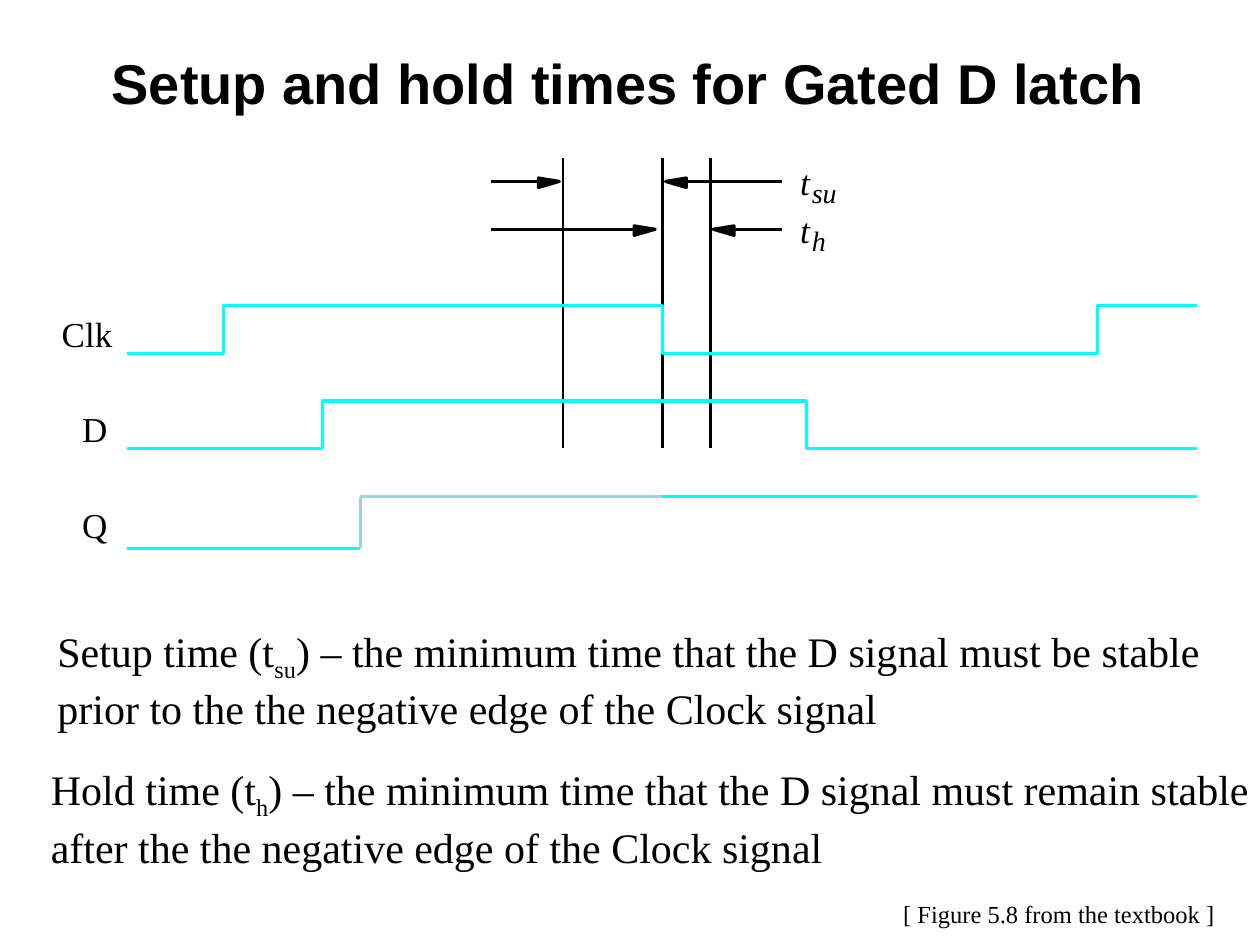
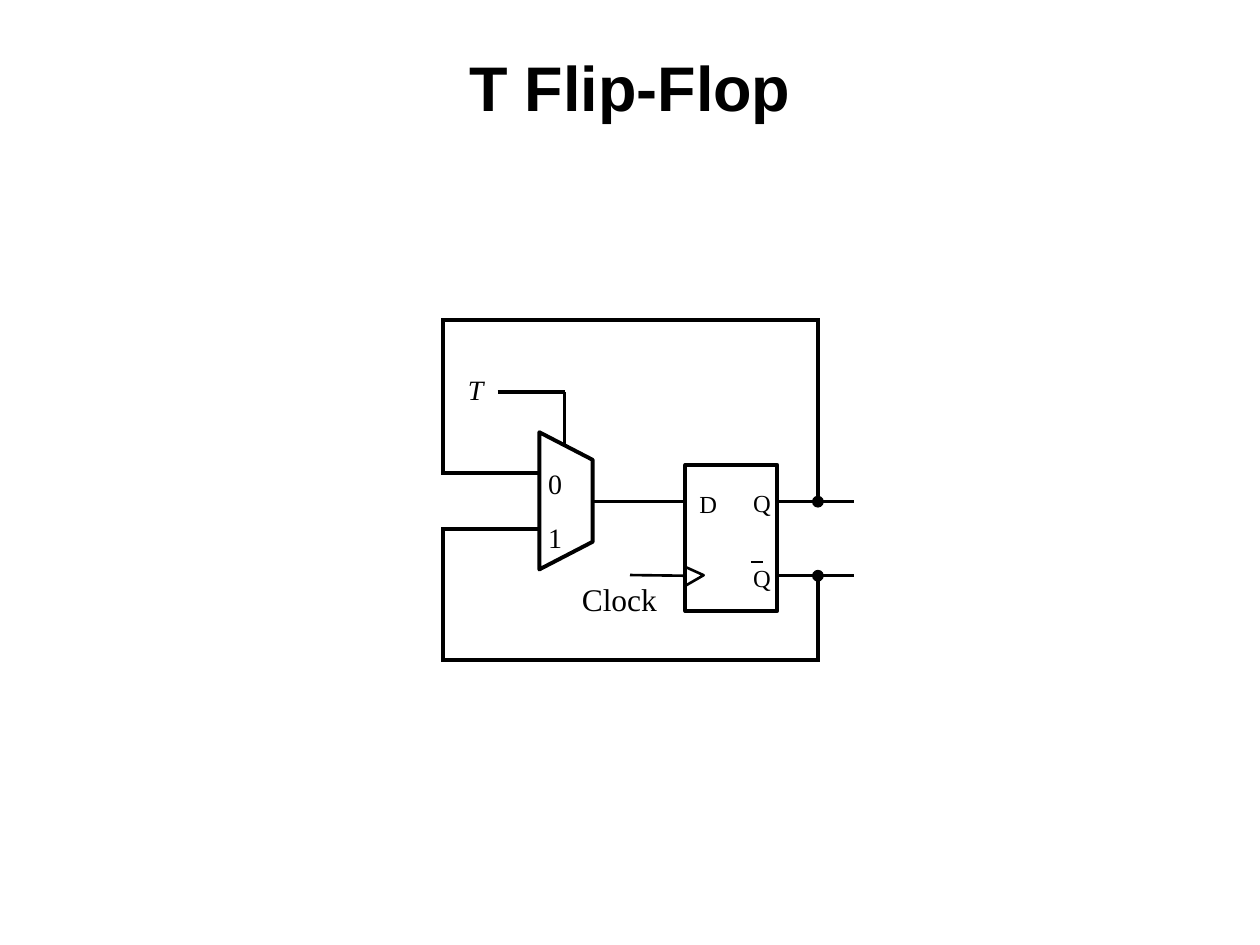
from itertools import pairwise

from lxml import etree
from pptx import Presentation
from pptx.dml.color import RGBColor
from pptx.enum import shapes, text
from pptx.oxml import ns
from pptx.util import Pt

BLACK, WHITE, CYAN, PALE = "000000", "FFFFFF", "00FFFF", "9ED3D7"
SERIF, SANS = "Times New Roman", "Arial"
WIRE, THIN = 2.25, 1.5


def color(value):
    return RGBColor.from_string(value)


def style(shape, line, width, fill=None):
    shape.shadow.inherit = False
    if fill:
        shape.fill.solid()
        shape.fill.fore_color.rgb = color(fill)
    else:
        shape.fill.background()
    shape.line.color.rgb = color(line)
    shape.line.width = Pt(width)


def draw_line(slide, box, start, end, width, line=BLACK):
    left, top = box
    connector = slide.shapes.add_connector(
        shapes.MSO_CONNECTOR.STRAIGHT,
        Pt(left + start[0]), Pt(top + start[1]), Pt(left + end[0]), Pt(top + end[1]))
    connector.line.color.rgb = color(line)
    connector.line.width = Pt(width)
    etree.SubElement(connector._element.spPr, ns.qn("a:effectLst"))


def draw_path(slide, box, points, width, line=BLACK, fill=None, close=False):
    left, top = box
    spots = [(Pt(left + x), Pt(top + y)) for x, y in points]
    builder = slide.shapes.build_freeform(*spots[0])
    builder.add_line_segments(spots[1:], close=close)
    style(builder.convert_to_shape(), line, width, fill)


def draw_preset(slide, box, kind, place, width, fill):
    left, top = box
    x, y, wide, high = place
    shape = slide.shapes.add_shape(kind, Pt(left + x), Pt(top + y), Pt(wide), Pt(high))
    style(shape, BLACK, width, fill)


def add_text(slide, box, place, paragraphs, size, inset=True,
             font=SERIF, bold=False, italic=False, align=text.PP_ALIGN.LEFT):
    left, top = box
    x, y, wide, high = place
    frame = slide.shapes.add_textbox(
        Pt(left + x), Pt(top + y), Pt(wide), Pt(high)).text_frame
    frame.word_wrap = True
    if not inset:
        frame.margin_left = frame.margin_right = frame.margin_top = frame.margin_bottom = 0
    for index, runs in enumerate(paragraphs):
        paragraph = frame.add_paragraph() if index else frame.paragraphs[0]
        paragraph.alignment = align
        for position, words in enumerate(runs):
            run = paragraph.add_run()
            run.text = words
            if position == 1:
                run._r.get_or_add_rPr().set("baseline", "-25000")
        paragraph.font.name = font
        paragraph.font.size = Pt(size)
        paragraph.font.bold = bold
        paragraph.font.italic = italic
        paragraph.font.color.rgb = color(BLACK)


def add_label(slide, box, x, y, wide, words, size, italic=False):
    add_text(slide, box, (x, y, wide, size * 1.17), [[words]], size,
             inset=False, italic=italic)


def add_title(slide, left, words, size):
    add_text(slide, (left, 24), (0, 0, 720, size * 1.2 + 8), [[words]], size,
             font=SANS, bold=True, align=text.PP_ALIGN.CENTER)


def draw_arrow(slide, box, start, tip, y):
    back = tip + (12 if start > tip else -12)
    draw_line(slide, box, (start, y), (back, y), 1.75)
    draw_path(slide, box, [(tip, y), (back, y - 2), (back, y + 3.5)], 1.75,
              fill=BLACK, close=True)


def draw_wave(slide, box, edges, start, end, high, low):
    points, level = [(start, low)], low
    for edge in edges:
        points.append((edge, level))
        level = high if level == low else low
        points.append((edge, level))
    draw_path(slide, box, points + [(end, level)], 1.75, CYAN)


def timing_diagram(slide, box):
    step, start, end = 27.36, 37.7, 649
    setup, clock_edge, hold, rise = 286.8, 343.5, 371.1, 170.9
    for x in (setup, clock_edge, hold):
        draw_line(slide, box, (x, 0), (x, 166.3), THIN)

    for row, (left_tip, right_tip, name) in enumerate(
            [(284.7, 345.2, "su"), (339.4, 372.5, "h")]):
        y = 13.7 + row * step
        draw_arrow(slide, box, 245.8, left_tip, y)
        draw_arrow(slide, box, 412.1, right_tip, y)
        add_label(slide, box, 422.2, y - 12, 12, "t", 20, italic=True)
        add_label(slide, box, 428.9, y - 3.3, 20, name, 16, italic=True)

    highs = [84.4 + 2 * step * row for row in range(3)]
    for (name, x, wide), high in zip(
            [("Clk", 0.3, 36), ("D", 12, 22), ("Q", 12, 22)], highs):
        add_label(slide, box, x, high + 4, wide, name, 20)
    for edges, high in zip([(92.7, clock_edge, 592), (149.3, 425.8)], highs):
        draw_wave(slide, box, edges, start, end, high, high + step)

    high, low = highs[2], highs[2] + 29.4
    draw_wave(slide, box, (), start, rise, high, low)
    draw_wave(slide, box, (), clock_edge, end, low, high)
    for first, last in pairwise([(rise, low), (rise, high), (clock_edge, high)]):
        draw_line(slide, box, first, last, THIN, PALE)


def definition(slide, box, wide, name, symbol, meaning, rest):
    add_text(slide, box, (0, 0, wide, 69),
             [[f"{name} (t", symbol, f") – {meaning}"], [rest]], 24)


def flip_flop(slide, box):
    draw_preset(slide, box, shapes.MSO_SHAPE.RECTANGLE, (0, 0, 52.5, 83.5), WIRE, WHITE)
    for x, y, name in [(7.9, 13.7, "D"), (38.7, 13, "Q"), (38.7, 56.2, "Q")]:
        add_label(slide, box, x, y, 14, name, 14)
    draw_line(slide, box, (37.4, 55.4), (44.6, 55.4), 1.4)
    draw_path(slide, box, [(0, 69), (10.4, 63), (0, 58.3)], THIN)


def multiplexer(slide, box):
    draw_path(slide, box, [(0, 0), (30.5, 15.8), (30.5, 62.6), (0, 78.4)], WIRE, close=True)
    for y, name in [(19.8, "0"), (50.7, "1")]:
        add_label(slide, box, 5, y, 13.5, name, 16)


def toggle_circuit(slide, box):
    left, top = box
    mux_x, mux_y, latch_x, latch_y = 56.2, 64, 139.7, 82.7
    near, node, q, q_bar = 1.4, 215.4, 103.7, 146
    multiplexer(slide, (left + mux_x, top + mux_y))
    flip_flop(slide, (left + latch_x, top + latch_y))

    for output, rail, entry in [(q, 0, 87.5), (q_bar, 194.3, 119.4)]:
        for first, last in [((0, rail), (216.4, rail)), ((0, entry), (mux_x, entry)),
                            ((near, rail), (near, entry)), ((node, rail), (node, output))]:
            draw_line(slide, box, first, last, WIRE)
        draw_line(slide, box, (latch_x + 52.5, output), (236, output), THIN)
        draw_preset(slide, box, shapes.MSO_SHAPE.OVAL,
                    (node - 3, output - 3, 6, 6), 0.75, BLACK)

    for first, last in pairwise([(32.4, 40.9), (70.6, 40.9), (70.6, 71.2)]):
        draw_line(slide, box, first, last, WIRE)
    draw_line(slide, box, (mux_x + 30.5, 103.6), (latch_x, 103.6), WIRE)
    draw_line(slide, box, (108, 145.6), (latch_x, 146), THIN)
    add_label(slide, box, 15.4, 29.8, 12, "T", 16, italic=True)
    add_text(slide, box, (73.4, 144.6, 66, 29), [["Clock"]], 18)


def timing_slide(slide):
    add_title(slide, -0.7, "Setup and hold times for Gated D latch", 32)
    timing_diagram(slide, (35, 90))
    definition(slide, (25.7, 354), 680, "Setup time", "su",
               "the minimum time that the D signal must be stable",
               "prior to the the negative edge of the Clock signal")
    definition(slide, (22, 433), 715, "Hold time", "h",
               "the minimum time that the D signal must remain stable",
               "after the the negative edge of the Clock signal")
    add_text(slide, (509, 510), (0, 0, 205, 24.5), [["[ Figure 5.8 from the textbook ]"]], 14)


def flip_flop_slide(slide):
    add_title(slide, 0, "T Flip-Flop", 36)
    toggle_circuit(slide, (252, 183))


def main():
    presentation = Presentation()
    presentation.slide_width, presentation.slide_height = Pt(720), Pt(540)
    for build in (timing_slide, flip_flop_slide):
        build(presentation.slides.add_slide(presentation.slide_layouts[6]))
    presentation.save("out.pptx")


if __name__ == "__main__":
    main()
